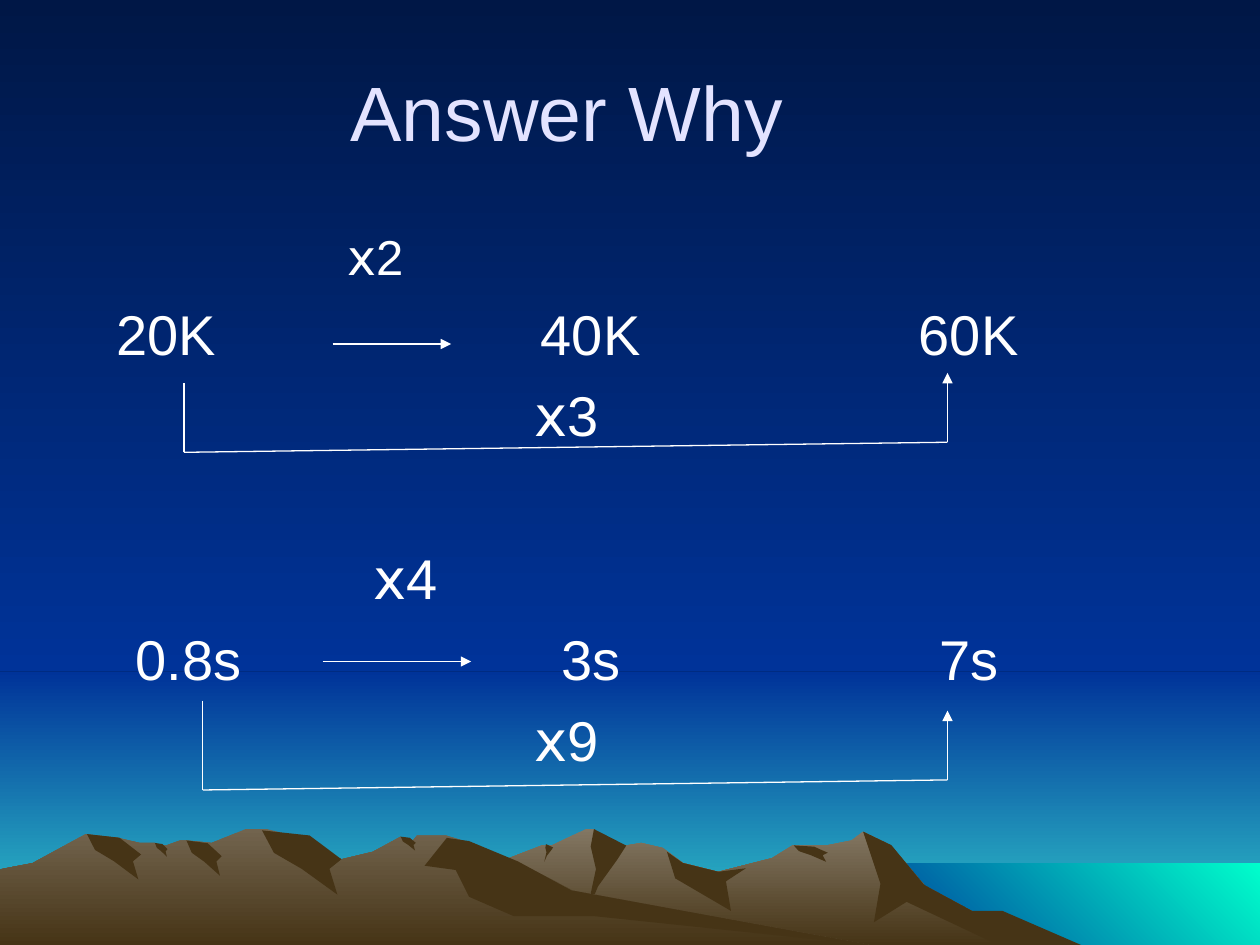
from dataclasses import dataclass

from lxml import etree
from pptx import Presentation
from pptx.dml.color import RGBColor
from pptx.enum.shapes import MSO_CONNECTOR, MSO_SHAPE
from pptx.enum.text import MSO_ANCHOR, MSO_AUTO_SIZE, PP_ALIGN
from pptx.oxml.ns import qn
from pptx.util import Inches, Pt

STRAIGHT = MSO_CONNECTOR.STRAIGHT
RECTANGLE = MSO_SHAPE.RECTANGLE
MIDDLE, TOP = MSO_ANCHOR.MIDDLE, MSO_ANCHOR.TOP
FIXED_SIZE = MSO_AUTO_SIZE.NONE
CENTER, LEFT = PP_ALIGN.CENTER, PP_ALIGN.LEFT

WIDTH, HEIGHT = Inches(10), Inches(7.5)
COLUMNS, ROWS = 10, 7.5
HORIZON, SHORE = 5.33, 6.85
TEXT_INSET = 0.1
DOWNWARD, DOWN_LEFT = 270, 225


@dataclass(frozen=True)
class Theme:
    font: str = "Arial"
    title_color: str = "E3E3FF"
    text_color: str = "FFFFFF"
    shade: str = "463416"
    night: tuple = ("001746", "003399")
    dusk: tuple = ("003399", "33CCCC")
    sea: tuple = ("00FFCC", "003399")
    near_slope: tuple = ("72644E", "463416")
    far_slope: tuple = ("837763", "463416")
    title_size: int = 44
    row_size: int = 32
    small_size: int = 28
    line_width: float = 0.75
    row_gap: int = 8
    block_gap: float = 54.5


@dataclass(frozen=True)
class Ridge:
    slope: tuple
    skyline: dict
    shadows: tuple


@dataclass(frozen=True)
class Comparison:
    values: tuple
    centers: tuple
    first_factor: str
    factor_center: float
    factor_size: int
    gap_above: float
    second_factor: str
    arrow: tuple
    bracket: tuple


THEME = Theme()

GULLY = ((0, 0), (0.6, 0.08), (1, 0.45), (0.85, 0.6), (0.95, 1), (0.5, 0.6), (0.15, 0.35))
CREST = ((0.2, 0), (1, 0.19), (0.78, 0.35), (0.3, 0.66), (0, 1), (0.25, 0.46), (0.12, 0.2))
SADDLE = ((0.05, 0), (0.24, 0.19), (0.67, 0.34), (1, 0.28), (0.76, 0.5), (0.82, 1), (0.15, 0.45))
EAST_FLANK = ((0, 0), (0.13, 0.12), (0.28, 0.47), (0.5, 0.7), (0.64, 0.7), (1, 1),
              (0.62, 1), (0.2, 0.62), (0.05, 0.8), (0.08, 0.46))
LONG_FLANK = ((0.05, 0), (0.1, 0.03), (0.21, 0.22), (0.33, 0.49), (1, 1),
              (0.38, 0.73), (0.2, 0.73), (0.1, 0.55), (0.07, 0.3), (0, 0.26))

FAR_RIDGE = Ridge(
    slope=THEME.far_slope,
    skyline={
        "west foot": (2.58, 7.5, 0), "west slope": (3.27, 7.09, 0),
        "west shoulder": (3.94, 6.85, 0), "west ledge": (4.3, 6.71, 0.08),
        "middle summit": (4.65, 6.58, 0.06), "middle notch": (4.93, 6.71, 0.04),
        "middle knoll": (5.09, 6.69, 0), "knoll edge": (5.26, 6.73, 0),
        "saddle rim": (5.42, 6.85, 0), "saddle": (5.7, 6.92, 0),
        "east rise": (6.13, 6.81, 0), "east ledge": (6.29, 6.71, 0.27),
        "east shoulder": (6.76, 6.67, 0), "east summit": (6.85, 6.6, 0),
        "east slope": (7.07, 6.71, 0), "east drop": (7.34, 7.03, 0),
        "east foot": (8.21, 7.5, 0)},
    shadows=((EAST_FLANK, 6.85, 6.6, 1.73, 0.9), (CREST, 4.65, 6.58, 0.32, 0.69),
             (SADDLE, 5.26, 6.76, 0.66, 0.47), (GULLY, 6.3, 6.71, 0.27, 0.13),
             (CREST, 4.32, 6.7, 0.07, 0.14)))

NEAR_RIDGE = Ridge(
    slope=THEME.near_slope,
    skyline={
        "west foot": (0, 7.5, 0), "west edge": (0, 6.9, 0),
        "west rise": (0.26, 6.85, 0), "west summit": (0.68, 6.62, 0),
        "west shoulder": (0.94, 6.65, 0), "west ledge": (1.11, 6.69, 0.12),
        "dip": (1.28, 6.71, 0.04), "knoll": (1.43, 6.67, 0.05),
        "middle rise": (1.68, 6.69, 0), "middle summit": (1.95, 6.58, 0.17),
        "middle slope": (2.32, 6.63, 0), "valley": (2.71, 6.82, 0),
        "east rise": (2.96, 6.76, 0), "east knoll": (3.18, 6.64, 0),
        "east notch": (3.23, 6.68, 0.04), "east summit": (3.31, 6.63, 0.23),
        "east shoulder": (3.7, 6.68, 0), "east slope": (4.1, 6.84, 0),
        "foothill": (4.55, 7.07, 0), "east foot": (6.9, 7.5, 0)},
    shadows=((GULLY, 2.08, 6.59, 0.63, 0.51), (LONG_FLANK, 3.37, 6.65, 3.53, 0.85),
             (GULLY, 3.18, 6.64, 0.12, 0.11), (GULLY, 1.48, 6.67, 0.28, 0.28),
             (GULLY, 1.23, 6.69, 0.1, 0.11), (GULLY, 0.69, 6.62, 0.43, 0.36)))

TEMPERATURES = Comparison(
    values=("20K", "40K", "60K"), centers=(1.32, 4.69, 7.69),
    first_factor="ⅹ2", factor_center=2.98, factor_size=THEME.small_size, gap_above=0,
    second_factor="ⅹ3", arrow=((2.64, 2.73), (3.58, 2.73)),
    bracket=((1.46, 3.04), (1.46, 3.59), (7.52, 3.51), (7.52, 2.96)))
TIMES = Comparison(
    values=("0.8s", "3s", "7s"), centers=(1.5, 4.69, 7.69),
    first_factor="ⅹ4", factor_center=3.22, factor_size=THEME.row_size,
    gap_above=THEME.block_gap,
    second_factor="ⅹ9", arrow=((2.56, 5.25), (3.74, 5.25)),
    bracket=((1.61, 5.56), (1.61, 6.27), (7.52, 6.19), (7.52, 5.64)))


def col(count):
    return round(WIDTH * count / COLUMNS)


def row(count):
    return round(HEIGHT * count / ROWS)


def paint_gradient(fill, colors, angle=DOWNWARD):
    fill.gradient()
    fill.gradient_angle = angle
    for stop, color in zip(fill.gradient_stops, colors):
        stop.color.rgb = RGBColor.from_string(color)


def paint_shape(shape, paint, angle=DOWNWARD):
    shape.shadow.inherit = False
    shape.line.fill.background()
    if isinstance(paint, str):
        shape.fill.solid()
        shape.fill.fore_color.rgb = RGBColor.from_string(paint)
    else:
        paint_gradient(shape.fill, paint, angle)


def add_band(slide, left, top, bottom, paint, angle=DOWNWARD):
    band = slide.shapes.add_shape(
        RECTANGLE, col(left), row(top), col(COLUMNS - left), row(bottom - top))
    paint_shape(band, paint, angle)


def add_outline(slide, points, paint):
    start, *rest = [(col(x), row(y)) for x, y in points]
    builder = slide.shapes.build_freeform(*start)
    builder.add_line_segments(rest, close=True)
    paint_shape(builder.convert_to_shape(), paint)


def add_ridge(slide, ridge):
    skyline = [(x + step, y) for x, y, flat in ridge.skyline.values()
               for step in sorted({0, flat})]
    add_outline(slide, skyline, ridge.slope)
    for profile, left, top, width, height in ridge.shadows:
        add_outline(slide, [(left + x * width, top + y * height) for x, y in profile],
                    THEME.shade)


def add_line(slide, start, end, arrow=False):
    connector = slide.shapes.add_connector(
        STRAIGHT, col(start[0]), row(start[1]), col(end[0]), row(end[1]))
    connector.line.color.rgb = RGBColor.from_string(THEME.text_color)
    connector.line.width = Pt(THEME.line_width)
    properties = connector._element.spPr
    if arrow:
        etree.SubElement(properties.find(qn("a:ln")), qn("a:tailEnd"), type="triangle")
    etree.SubElement(properties, qn("a:effectLst"))


def add_arrow_path(slide, corners):
    for start, end in zip(corners, corners[1:]):
        add_line(slide, start, end, arrow=end == corners[-1])


def write(paragraph, text, size=THEME.row_size, color=THEME.text_color,
          align=LEFT, before=0, centers=()):
    paragraph.text = "\t" + text if centers else text
    paragraph.alignment = align
    paragraph.space_before = Pt(before)
    if centers:
        stops = etree.SubElement(paragraph._p.get_or_add_pPr(), qn("a:tabLst"))
        for center in centers:
            etree.SubElement(stops, qn("a:tab"), pos=str(col(center - TEXT_INSET)), algn="ctr")
    for run in paragraph.runs:
        run.font.name = THEME.font
        run.font.size = Pt(size)
        run.font.color.rgb = RGBColor.from_string(color)


def prepare_frame(frame, anchor):
    frame.word_wrap = True
    frame.auto_size = FIXED_SIZE
    frame.vertical_anchor = anchor


def add_landscape(slide):
    paint_gradient(slide.background.fill, THEME.night)
    add_band(slide, 0, HORIZON, ROWS, THEME.dusk)
    add_band(slide, 0, 0, HORIZON, THEME.night)
    add_band(slide, 6.83, SHORE, ROWS, THEME.sea, angle=DOWN_LEFT)
    for ridge in (FAR_RIDGE, NEAR_RIDGE):
        add_ridge(slide, ridge)


def add_title(slide, text):
    title = slide.shapes.title
    title.left, title.top, title.width, title.height = col(0), row(0.25), col(9), row(1.25)
    prepare_frame(title.text_frame, MIDDLE)
    write(title.text_frame.paragraphs[0], text, size=THEME.title_size,
          color=THEME.title_color, align=CENTER)
    title._element.getparent().append(title._element)


def add_comparisons(slide, comparisons):
    frame = slide.shapes.add_textbox(col(0), row(1.75), col(9), row(4.92)).text_frame
    prepare_frame(frame, TOP)
    paragraph = frame.paragraphs[0]
    for comparison in comparisons:
        paragraph = paragraph or frame.add_paragraph()
        write(paragraph, comparison.first_factor, size=comparison.factor_size,
              before=comparison.gap_above, centers=(comparison.factor_center,))
        write(frame.add_paragraph(), "\t".join(comparison.values),
              before=THEME.row_gap, centers=comparison.centers)
        write(frame.add_paragraph(), comparison.second_factor,
              before=THEME.row_gap, align=CENTER)
        add_arrow_path(slide, comparison.arrow)
        add_arrow_path(slide, comparison.bracket)
        paragraph = None


def main():
    deck = Presentation()
    deck.slide_width, deck.slide_height = WIDTH, HEIGHT
    slide = deck.slides.add_slide(deck.slide_layouts[5])
    add_landscape(slide)
    add_title(slide, "Answer Why")
    add_comparisons(slide, (TEMPERATURES, TIMES))
    deck.save("out.pptx")


if __name__ == "__main__":
    main()
